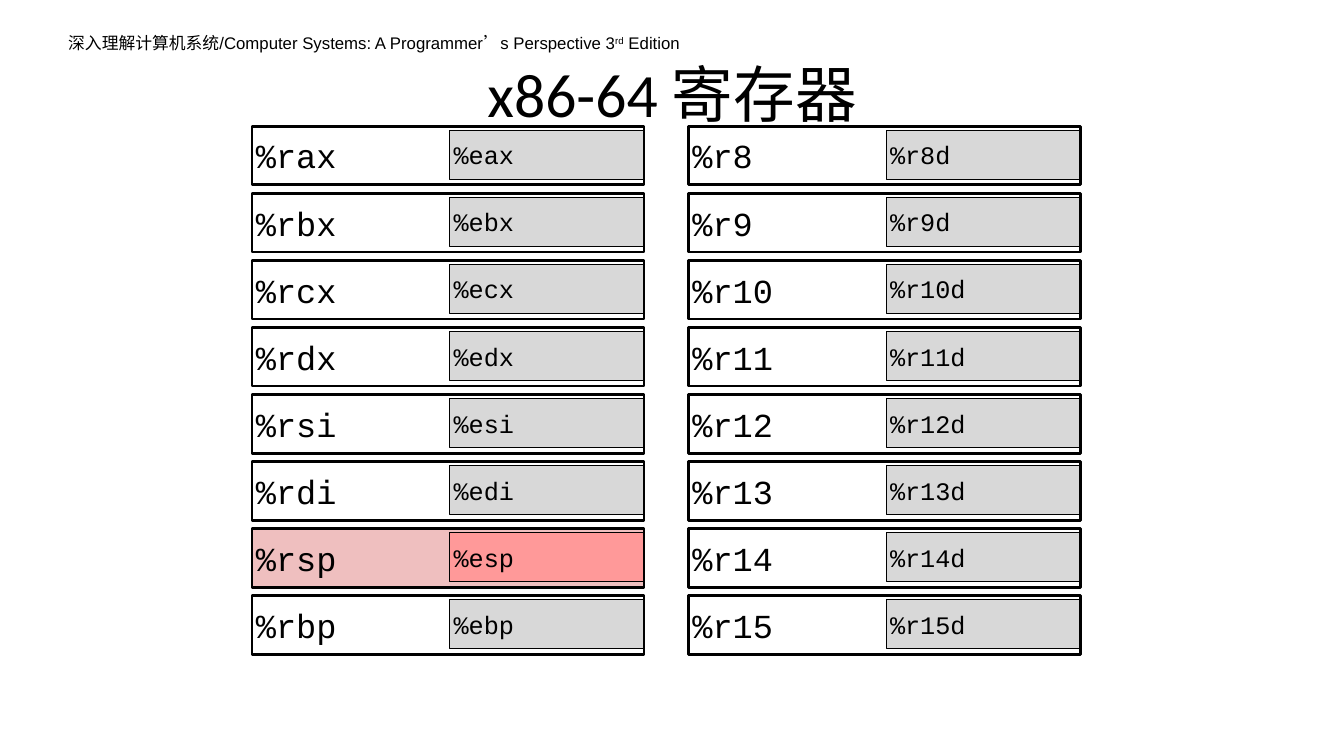
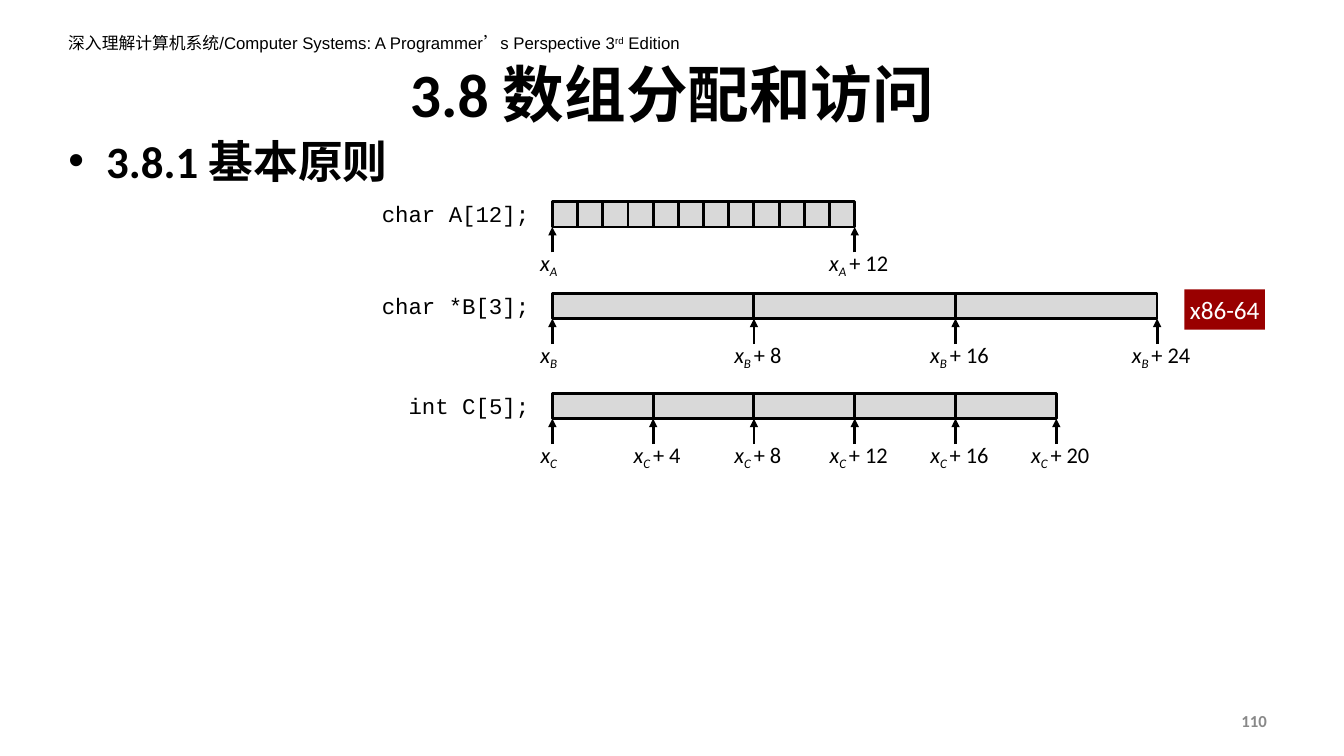
"""Build two lecture slides: x86-64 registers and array allocation."""
from lxml import etree
from pptx import Presentation
from pptx import util as u
from pptx.dml.color import RGBColor
from pptx.enum import shapes, text
from pptx.oxml.ns import qn

COLORS = {
    "ink": "000000",
    "paper": "FFFFFF",
    "half": "D8D8D8",
    "cell": "D9D9D9",
    "stack": "EFBFBF",
    "stack_half": "FF9999",
    "badge": "990000",
    "number": "898989",
}
ALIGN = text.PP_ALIGN
ANCHOR = text.MSO_ANCHOR
CODE_FONT = "Courier New"
REGISTER_COLUMNS = {
    6.35: [("%r" + name, "%e" + name)
           for name in ("ax", "bx", "cx", "dx", "si", "di", "sp", "bp")],
    17.35: [(f"%r{number}", f"%r{number}d") for number in range(8, 16)],
}
ARRAY_LEFT = 13.92
BYTE_WIDTH = 15.24 / 24
CELL_HEIGHT = 0.64


def color(name):
    """Return the named colour."""
    return RGBColor.from_string(COLORS[name])


def write(shape, runs, size=16, font="Calibri", ink="ink", bold=None,
          align=ALIGN.LEFT, anchor=ANCHOR.TOP, inset=None, wrap=True):
    """Fill a shape with one paragraph of (text, baseline, italic) runs."""
    frame = shape.text_frame
    frame.auto_size = text.MSO_AUTO_SIZE.NONE
    frame.word_wrap = wrap
    frame.vertical_anchor = anchor
    if inset is not None:
        frame.margin_left = frame.margin_right = u.Cm(inset)
        frame.margin_top = frame.margin_bottom = u.Cm(inset)
    paragraph = frame.paragraphs[0]
    paragraph.alignment = align
    paragraph.space_before = u.Pt(0)
    if isinstance(runs, str):
        runs = [(runs, 0, None)]
    for content, baseline, italic in runs:
        run = paragraph.add_run()
        run.text = content
        run.font.name = font
        run.font.size = u.Pt(size)
        run.font.bold = bold
        run.font.italic = italic
        run.font.color.rgb = color(ink)
        if baseline:
            run._r.get_or_add_rPr().set("baseline", str(baseline * 1000))


def place(shape, left, top, width, height):
    """Move and size a shape in centimetres."""
    shape.left, shape.top = u.Cm(left), u.Cm(top)
    shape.width, shape.height = u.Cm(width), u.Cm(height)


def add_label(slide, runs, left, top, width, height, **style):
    """Add a text box."""
    box = slide.shapes.add_textbox(
        u.Cm(left), u.Cm(top), u.Cm(width), u.Cm(height))
    write(box, runs, **style)


def add_box(slide, left, top, width, height, fill=None, line=2):
    """Add a rectangle, unfilled or unlined when the value is None."""
    box = slide.shapes.add_shape(
        shapes.MSO_SHAPE.RECTANGLE,
        u.Cm(left), u.Cm(top), u.Cm(width), u.Cm(height))
    box.shadow.inherit = False
    if fill:
        box.fill.solid()
        box.fill.fore_color.rgb = color(fill)
    else:
        box.fill.background()
    if line:
        box.line.color.rgb = color("ink")
        box.line.width = u.Pt(line)
    else:
        box.line.fill.background()
    return box


def add_up_arrow(slide, x, tip, length):
    """Add a vertical arrow that points up to its tip."""
    arrow = slide.shapes.add_connector(
        shapes.MSO_CONNECTOR.STRAIGHT,
        u.Cm(x), u.Cm(tip + length), u.Cm(x), u.Cm(tip))
    arrow.line.color.rgb = color("ink")
    arrow.line.width = u.Pt(2)
    properties = arrow.element.spPr
    etree.SubElement(properties.find(qn("a:ln")), qn("a:tailEnd"),
                     type="triangle")
    etree.SubElement(properties, qn("a:effectLst"))


def add_slide(presentation, layout, title, bold=None):
    """Add a slide with the running header and a title."""
    slide = presentation.slides.add_slide(presentation.slide_layouts[layout])
    header = [
        ("深入理解计算机系统/Computer Systems: A Programmer’s Perspective 3",
         0, None),
        ("rd", 30, None),
        (" Edition", 0, None),
    ]
    add_label(slide, header, 1.47, 0.71, 15.95, 1.2, size=12, font="Arial")
    place(slide.shapes.title, 1.7, 0.76, 30.48, 3.18)
    write(slide.shapes.title, title, size=44, bold=bold,
          align=ALIGN.CENTER, anchor=ANCHOR.MIDDLE)
    return slide


def add_register(slide, left, top, name, half_name):
    """Add a 64-bit register with its 32-bit lower half."""
    stack = name == "%rsp"

    def add_whole():
        """Add the full-width register."""
        whole = add_box(slide, left, top, 9.88, 1.48,
                        fill="stack" if stack else None)
        write(whole, name, size=24, font=CODE_FONT,
              anchor=ANCHOR.MIDDLE, inset=0.1)

    def add_half():
        """Add the lower half."""
        half = add_box(slide, left + 4.98, top + 0.1, 4.9, 1.24,
                       fill="stack_half" if stack else "half",
                       line=1 if stack else 0.75)
        write(half, half_name, size=18, font=CODE_FONT,
              anchor=ANCHOR.MIDDLE, inset=0.1)

    for add_part in (add_whole, add_half) if stack else (add_half, add_whole):
        add_part()


def add_array(slide, declaration, top, count, size, offsets):
    """Add an array's declaration, its cells and its marked addresses."""
    add_label(slide, declaration, 8.59, top - 0.15, 5, 0.94,
              font=CODE_FONT, align=ALIGN.RIGHT)
    width = size * BYTE_WIDTH
    for index in range(count):
        add_box(slide, ARRAY_LEFT + index * width, top, width, CELL_HEIGHT,
                fill="cell")
    name = declaration.split("[")[0][-1]
    for offset in offsets:
        x = ARRAY_LEFT + offset * BYTE_WIDTH
        add_up_arrow(slide, x, top + CELL_HEIGHT, CELL_HEIGHT)
        runs = [("x", 0, True), (name, -25, True)]
        center = x - 0.09
        if offset:
            runs = [("x", 0, True), (name + " ", -25, True),
                    (f"+ {offset}", 0, False)]
            center = x + 0.1
        label_width = 2.74 if offset else 1.1
        add_label(slide, runs, center - label_width / 2, top + 1.07,
                  label_width, 0.94, align=ALIGN.CENTER)


def build_registers(presentation):
    """Build the register slide."""
    slide = add_slide(presentation, 5, "x86-64 寄存器")
    for left, registers in REGISTER_COLUMNS.items():
        for row, (name, half_name) in enumerate(registers):
            add_register(slide, left, 3.18 + row * 1.69, name, half_name)


def build_arrays(presentation):
    """Build the array allocation slide."""
    slide = add_slide(presentation, 1, "3.8 数组分配和访问", bold=True)
    body = slide.placeholders[1]
    place(body, 1.47, 3.23, 31.39, 1.83)
    write(body, "3.8.1 基本原则", size=32, bold=True)
    add_array(slide, "char A[12];", 5.08, 12, 1, (0, 12))
    add_array(slide, "char *B[3];", 7.39, 3, 8, range(0, 25, 8))
    add_array(slide, "int C[5];", 9.91, 5, 4, range(0, 21, 4))
    badge = add_box(slide, 29.85, 7.29, 2.03, 1.02, fill="badge", line=None)
    write(badge, "x86-64", size=18, ink="paper", align=ALIGN.CENTER,
          inset=0.13, wrap=False)
    add_label(slide, "110", 24.28, 17.65, 7.9, 1.02, size=12, ink="number",
              bold=True, align=ALIGN.RIGHT, anchor=ANCHOR.MIDDLE)


def main():
    """Build and save the presentation."""
    presentation = Presentation()
    presentation.slide_width = u.Cm(33.87)
    presentation.slide_height = u.Cm(19.05)
    build_registers(presentation)
    build_arrays(presentation)
    presentation.save("out.pptx")


if __name__ == "__main__":
    main()
